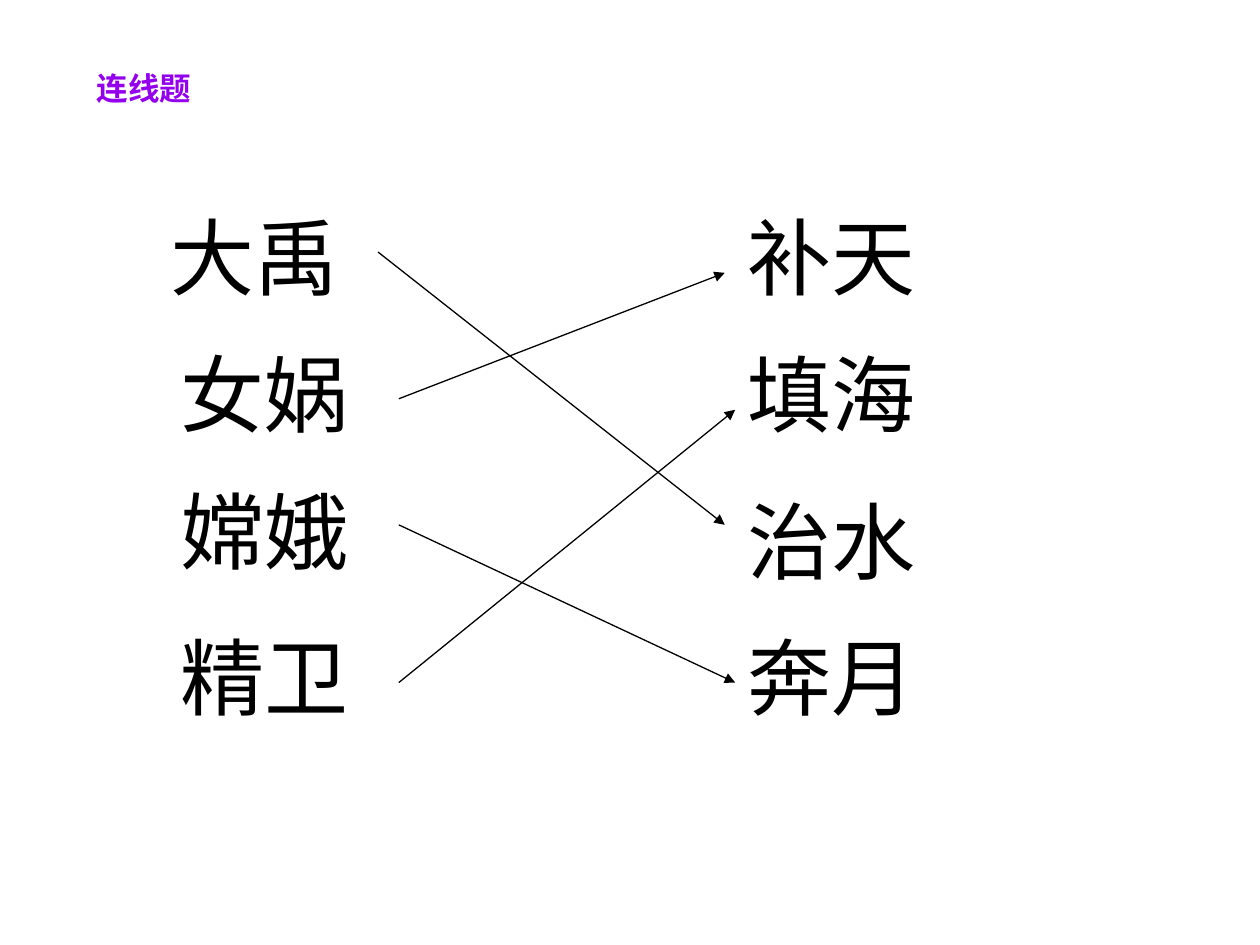
from lxml.etree import SubElement
from pptx import Presentation
from pptx.dml.color import RGBColor
from pptx.enum.shapes import MSO_CONNECTOR
from pptx.enum.text import MSO_ANCHOR
from pptx.oxml.ns import qn
from pptx.util import Cm, Pt

COLORS = {"title": "9400ED", "ink": "000000"}
CJK_FONT = "Noto Sans CJK SC"

# All lengths in centimetres
TITLE = ("连线题", 1.7, 1.27, 7.62, 2.34)
WORD_W, WORD_H = 4.45, 2.29
WORDS = [  # text, left, top
    ("大禹", 3.18, 4.02), ("女娲", 3.39, 6.77),
    ("嫦娥", 3.39, 9.53), ("精卫", 3.39, 12.49),
    ("补天", 14.82, 4.02), ("填海", 14.82, 6.77),
    ("治水", 14.82, 9.74), ("奔月", 14.82, 12.49),
]
ANSWERS = [  # start x, y, end x, y
    (7.62, 5.08, 14.61, 10.58),  # 大禹 – 治水
    (8.04, 8.04, 14.61, 5.5),    # 女娲 – 补天
    (8.04, 10.58, 14.82, 13.76),  # 嫦娥 – 奔月
    (8.04, 13.76, 14.82, 8.26),  # 精卫 – 填海
]


def add_text(slide, text, box, size, color, font, bold=False, wrap=True):
    tf = slide.shapes.add_textbox(*map(Cm, box)).text_frame
    tf.text = text
    tf.word_wrap = wrap
    r = tf.paragraphs[0].runs[0]
    r.font.size = Pt(size)
    r.font.bold = bold
    r.font.name = font
    r.font.color.rgb = RGBColor.from_string(COLORS[color])
    SubElement(r.font._element, qn("a:ea"), typeface=CJK_FONT)
    return tf


def add_arrow(slide, ends):
    line = slide.shapes.add_connector(MSO_CONNECTOR.STRAIGHT, *map(Cm, ends))
    line.line.width = Pt(0.75)
    line.line.color.rgb = RGBColor.from_string(COLORS["ink"])
    sp_pr = line._element.spPr
    SubElement(sp_pr.find(qn("a:ln")), qn("a:tailEnd"), type="triangle")
    SubElement(sp_pr, qn("a:effectLst"))


def main():
    prs = Presentation()
    prs.slide_width, prs.slide_height = Cm(25.4), Cm(19.05)
    slide = prs.slides.add_slide(prs.slide_layouts[6])

    for text, left, top in WORDS:
        tf = add_text(slide, text, (left, top, WORD_W, WORD_H), 48, "ink", "Arial")
        tf.vertical_anchor = MSO_ANCHOR.MIDDLE
    for ends in ANSWERS:
        add_arrow(slide, ends)
    text, *box = TITLE
    add_text(slide, text, box, 18, "title", CJK_FONT, bold=True, wrap=False)

    prs.save("out.pptx")


if __name__ == "__main__":
    main()
